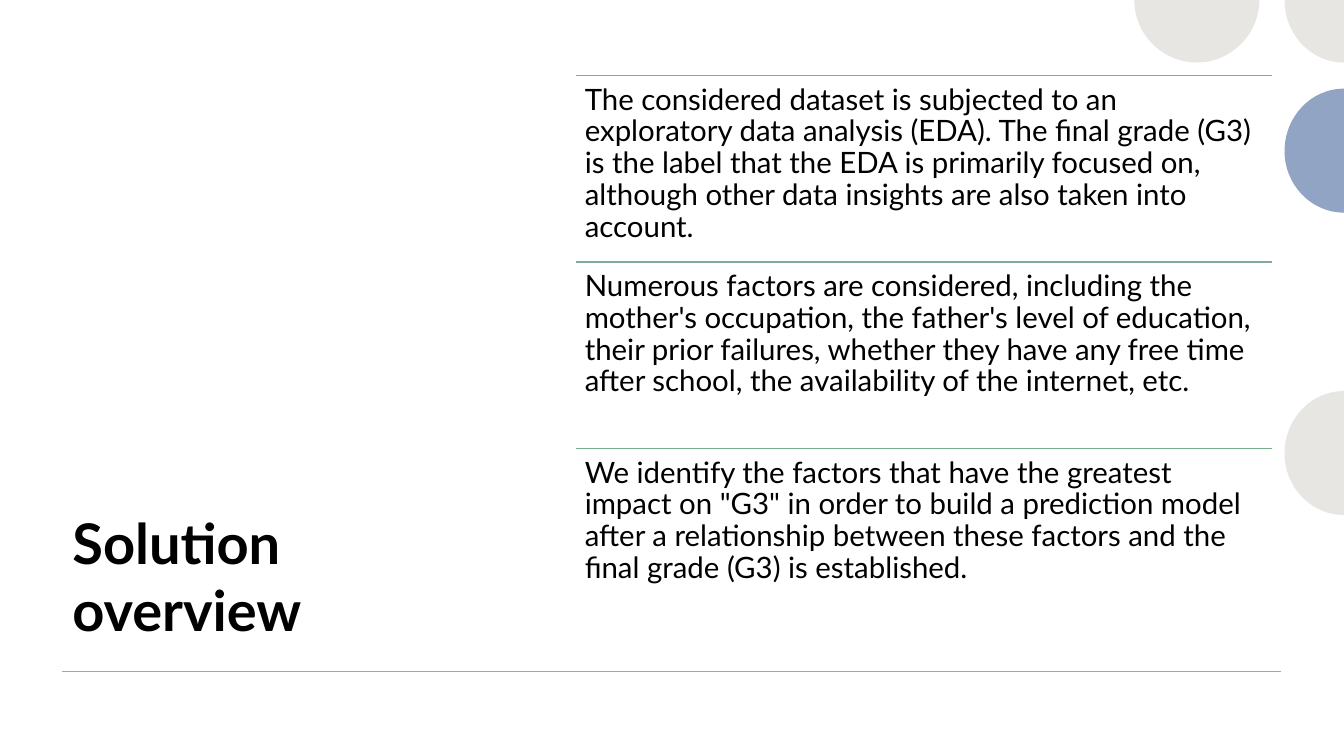
from pptx import Presentation
from pptx.dml.color import RGBColor as RGB
from pptx.enum.shapes import MSO_CONNECTOR as CON
from pptx.enum.text import MSO_ANCHOR as ANC
from pptx.oxml.ns import qn
from pptx.util import Pt
from lxml.etree import Element, SubElement as sub

PX = 9144
theme = {
    "font": "Lato", "title": 40, "body": 21, "ink": "000000",
    "pale": "E8E6E2", "blue": "92A4C4", "base": "A6A6A6",
    "rules": ["79A9B7", "80A9A1", "77AE8C"],
}

deck = Presentation()
deck.slide_width, deck.slide_height = 1333 * PX, 750 * PX
slide = deck.slides.add_slide(deck.slide_layouts[6])
shapes = slide.shapes


def add_rule(left, right, top, color):
    rule = shapes.add_connector(CON.STRAIGHT, left * PX, top * PX, right * PX, top * PX)
    rule.line.color.rgb = RGB.from_string(color)
    rule.line.width = Pt(1)
    sub(rule._element.spPr, qn("a:effectLst"))


def add_text(box, text, size, bold, space, frame):
    area = shapes.add_textbox(*[n * PX for n in box]).text_frame
    for key, value in frame.items():
        setattr(area, key, value)
    para = area.paragraphs[0]
    para.line_spacing = space
    run = para.add_run()
    run.text = text
    look = {"name": theme["font"], "size": Pt(size), "bold": bold}
    for key, value in look.items():
        setattr(run.font, key, value)
    run.font.color.rgb = RGB.from_string(theme["ink"])


bowl = ([(0, 0), (124, 0)],
        [(124, 34), (96, 62), (62, 62), (28, 62), (0, 34), (0, 0)])
side = ([(59, 0), (59, 123)],
        [(26, 123), (0, 95), (0, 62), (0, 28), (26, 0), (59, 0)])
nook = ([(0, 0), (59, 0), (59, 62)],
        [(26, 62), (0, 34), (0, 0)])
dots = [(1125, 0, bowl, "pale"), (1274, 388, side, "pale"),
        (1274, 88, side, "blue"), (1274, 0, nook, "pale")]
for left, top, (edges, bends), tint in dots:
    rim = [(left + across, top + down) for across, down in edges + bends]
    pen = shapes.build_freeform(*rim[0], scale=PX)
    pen.add_line_segments(rim[1:], close=True)
    dot = pen.convert_to_shape()
    legs = list(dot._element.iter(qn("a:lnTo")))[len(edges) - 1:]
    for first in range(0, len(legs), 3):
        curve = Element(qn("a:cubicBezTo"))
        legs[first].addprevious(curve)
        for leg in legs[first:first + 3]:
            curve.append(leg[0])
            leg.getparent().remove(leg)
    dot.shadow.inherit = False
    dot.fill.solid()
    dot.fill.fore_color.rgb = RGB.from_string(theme[tint])
    dot.line.fill.background()

add_text((62, 272, 395, 371), "Solution overview", theme["title"], True, 1.0,
         {"word_wrap": True, "vertical_anchor": ANC.BOTTOM})
add_rule(62, 1271, 666, theme["base"])

points = [
    "The considered dataset is subjected to an exploratory data analysis (EDA). "
    "The final grade (G3) is the label that the EDA is primarily focused on, "
    "although other data insights are also taken into account.",
    "Numerous factors are considered, including the mother's occupation, "
    "the father's level of education, their prior failures, whether they have any "
    "free time after school, the availability of the internet, etc.",
    "We identify the factors that have the greatest impact on \"G3\" in order to "
    "build a prediction model after a relationship between these factors and the "
    "final grade (G3) is established.",
]
left, top, width, pitch = 571, 75, 691, 185
pads = ["margin_left", "margin_top", "margin_right", "margin_bottom"]
frame = {"word_wrap": True, "vertical_anchor": ANC.TOP, **{pad: 9 * PX for pad in pads}}
for row, (point, color) in enumerate(zip(points, theme["rules"])):
    level = top + row * pitch
    add_rule(left, left + width, level, color)
    add_text((left, level, width, pitch), point, theme["body"], False, 0.9, frame)

deck.save("out.pptx")
